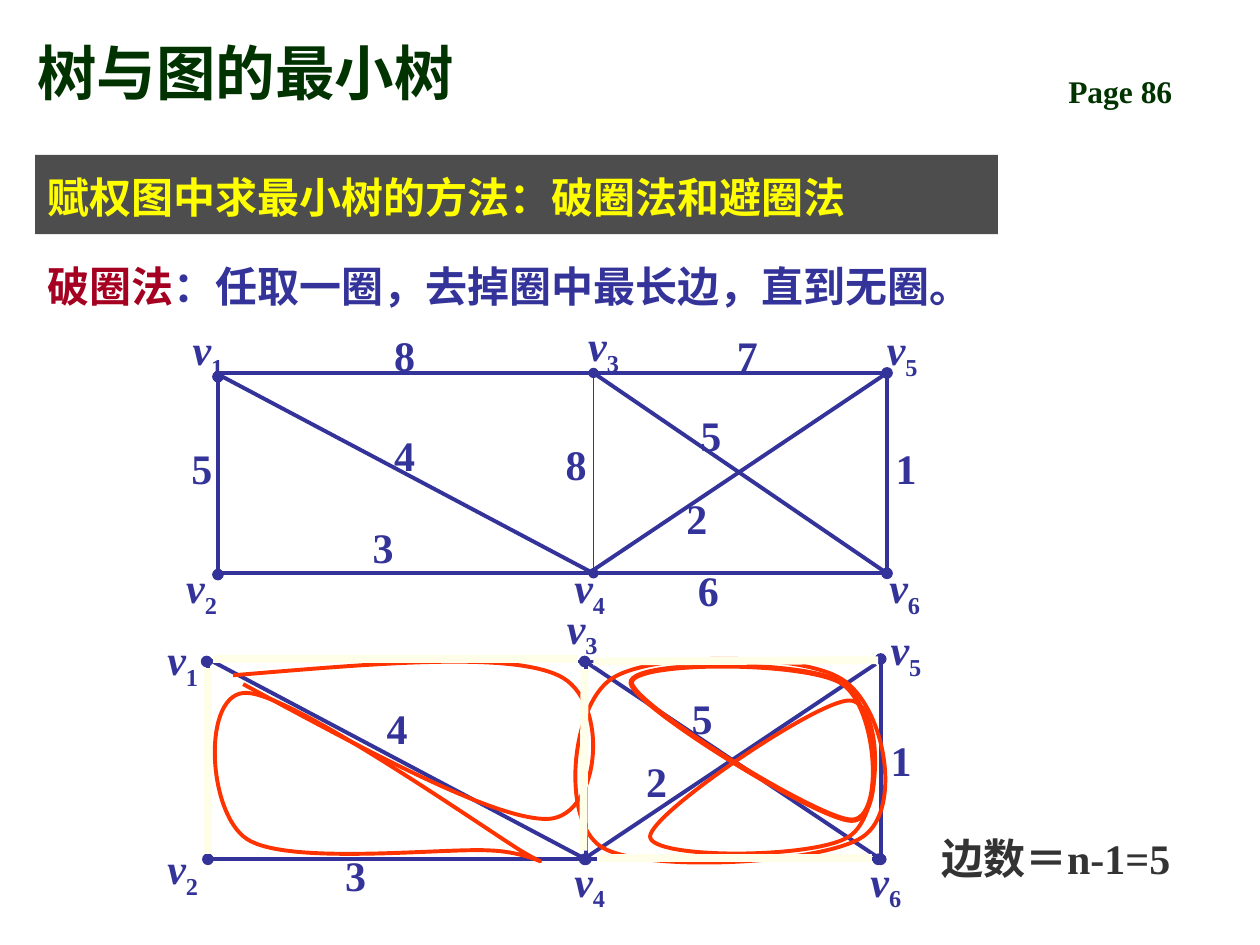
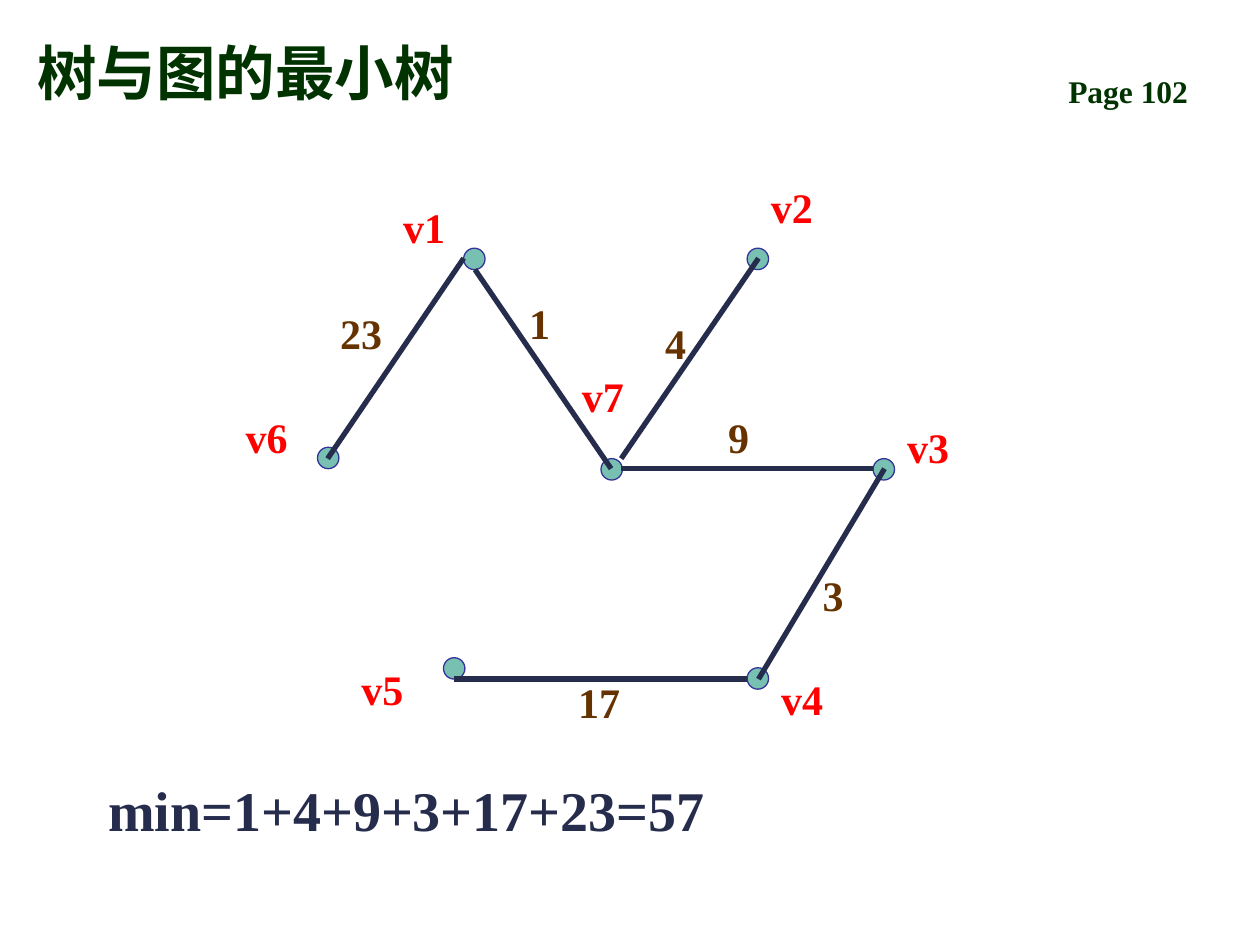
from pptx import Presentation
from pptx.dml.color import RGBColor
from pptx.enum.shapes import MSO_CONNECTOR, MSO_SHAPE
from pptx.enum.text import MSO_ANCHOR, MSO_AUTO_SIZE, PP_ALIGN
from pptx.oxml.ns import qn
from pptx.util import Inches, Pt
from lxml import etree

FONT = "Times New Roman"
GREEN, BLUE, NAVY, GREY = "003300", "333399", "262D4C", "4D4D4D"
YELLOW, CRIMSON, RED, BROWN = "FFFF00", "A50021", "FF0000", "663300"
ORANGE, CREAM, TEAL, DARK = "FF3300", "FFFFE9", "78C0B2", "333333"

TITLE = "树与图的最小树"
BAND = "赋权图中求最小树的方法：破圈法和避圈法"
RULE = [("破圈法", CRIMSON), ("：任取一圈，去掉圈中最长边，直到无圈。", BLUE)]
EDGE_COUNT = "边数＝n-1=5"
MINIMUM = "min=1+4+9+3+17+23=57"

# Edges: start, end, width; "dotted" holds the positions of edges with end dots.
FULL_GRAPH = {
    "edges": [
        ((1.73, 2.99), (1.73, 4.56), 2.25), ((1.71, 2.96), (4.71, 2.96), 2.25),
        ((1.71, 4.55), (4.79, 4.55), 2.25), ((1.71, 2.96), (4.71, 4.55), 2.25),
        ((4.71, 2.96), (4.71, 4.55), 0.75), ((4.71, 2.96), (7.04, 2.96), 2.25),
        ((7.04, 2.96), (4.7, 4.53), 2.25), ((4.71, 2.96), (7.04, 4.55), 2.25),
        ((4.71, 4.55), (7.04, 4.55), 2.25), ((7.04, 2.96), (7.04, 4.55), 2.25)],
    "dotted": {0, 4, 9},
    "labels": [
        ("v1", 1.43, 2.52), ("v2", 1.38, 4.41), ("v3", 4.57, 2.49),
        ("v4", 4.46, 4.41), ("v5", 6.94, 2.52), ("v6", 6.96, 4.41),
        ("5", 1.42, 3.46), ("8", 3.03, 2.57), ("4", 3.03, 3.36),
        ("3", 2.86, 4.09), ("7", 5.75, 2.57), ("5", 5.46, 3.2),
        ("2", 5.35, 3.86), ("6", 5.44, 4.43), ("1", 7.01, 3.46),
        ("8", 4.39, 3.43)],
}
BROKEN_GRAPH = {
    "edges": [
        ((1.65, 5.23), (1.65, 6.82), 2.25), ((1.64, 5.25), (4.64, 5.25), 2.25),
        ((1.65, 6.82), (4.65, 6.82), 2.25), ((1.65, 5.23), (4.65, 6.82), 2.25),
        ((4.65, 5.23), (4.65, 6.82), 2.25), ((4.65, 5.25), (6.99, 5.25), 2.25),
        ((6.95, 5.27), (4.66, 6.8), 2.25), ((4.66, 5.26), (6.99, 6.82), 2.25),
        ((4.64, 6.82), (6.97, 6.82), 2.25), ((6.99, 5.23), (6.99, 6.82), 2.25)],
    "dotted": {1, 2, 8, 9},
    "labels": [
        ("v1", 1.23, 4.98), ("v2", 1.23, 6.64), ("v3", 4.4, 4.73),
        ("v4", 4.46, 6.74), ("v5", 6.97, 4.9), ("v6", 6.81, 6.74),
        ("4", 2.97, 5.53), ("3", 2.64, 6.69), ("5", 5.39, 5.45),
        ("2", 5.03, 5.95), ("1", 6.97, 5.78)],
}

# Each step: loops (closed, width, Bezier points), then the edges wiped out.
BREAKING_STEPS = [
    ([(False, 2.25, [(1.85, 5.36), (2.93, 5.27), (4.02, 5.17), (4.43, 5.36),
                     (4.85, 5.55), (4.77, 6.48), (4.35, 6.5),
                     (3.93, 6.51), (2.93, 5.97), (1.93, 5.43)]),
      (True, 2.25, [(1.96, 5.5), (1.6, 5.48), (1.64, 6.45), (1.96, 6.66),
                    (2.28, 6.87), (3.52, 6.73), (3.88, 6.75),
                    (4.24, 6.76), (4.45, 6.94), (4.13, 6.75),
                    (3.81, 6.55), (2.32, 5.51), (1.96, 5.5)])],
     [((1.65, 5.3), (1.65, 6.78))]),
    ([(True, 2.25, [(4.85, 5.39), (5.17, 5.17), (6.35, 5.18), (6.68, 5.39),
                    (7.02, 5.6), (7.17, 6.42), (6.85, 6.64),
                    (6.53, 6.86), (5.09, 6.93), (4.77, 6.72),
                    (4.45, 6.51), (4.53, 5.61), (4.85, 5.39)])],
     [((4.64, 5.31), (4.63, 6.75)), ((1.69, 5.23), (4.59, 5.23))]),
    ([(True, 3, [(5.01, 5.42), (5, 5.24), (6.39, 5.24), (6.68, 5.42),
                 (6.97, 5.6), (7.03, 6.51), (6.76, 6.51),
                 (6.5, 6.51), (5.03, 5.6), (5.01, 5.42)])],
     [((4.71, 5.25), (6.97, 5.24))]),
    ([(True, 2.25, [(6.74, 5.56), (6.48, 5.56), (5.16, 6.46), (5.16, 6.64),
                    (5.16, 6.82), (6.46, 6.82), (6.74, 6.64),
                    (7.02, 6.46), (7.01, 5.56), (6.74, 5.56)])],
     [((4.74, 6.81), (6.92, 6.81))]),
]

DOT = 0.17
TREE_DOTS = [(4.77, 3.64), (5.93, 5.3), (3.52, 5.22), (5.93, 1.97),
             (6.93, 3.64), (2.52, 3.55), (3.68, 1.97)]
TREE_EDGES = [((3.68, 2.05), (2.6, 3.64)), ((3.77, 2.14), (4.85, 3.72)),
              ((6.02, 2.05), (4.93, 3.64)), ((4.93, 3.72), (6.93, 3.72)),
              ((3.6, 5.39), (5.93, 5.39)), ((7.02, 3.72), (6.02, 5.39))]
TREE_LABELS = {
    RED: [("v1", 3.1, 1.55), ("v7", 4.52, 2.89), ("v4", 6.1, 5.3),
          ("v3", 7.1, 3.3), ("v2", 6.02, 1.39), ("v5", 2.77, 5.22),
          ("v6", 1.85, 3.22)],
    BROWN: [("9", 5.68, 3.22), ("3", 6.43, 4.47), ("17", 4.49, 5.32),
            ("4", 5.18, 2.47), ("1", 4.1, 2.31), ("23", 2.6, 2.39)],
}


def rgb(color):
    return RGBColor.from_string(color)


def add_run(p, text, color, size=24, subscript=False, **style):
    r = p.add_run()
    r.text = text
    r.font.color.rgb = rgb(color)
    for name, value in {"name": FONT, "size": Pt(size), "bold": True, **style}.items():
        setattr(r.font, name, value)
    if subscript:
        r.font.italic = False
        r._r.get_or_add_rPr().set("baseline", "-25000")


def add_text(s, box, runs, size=24, wrap=True, fill=None, grow=True,
             anchor=MSO_ANCHOR.TOP, **paragraph):
    """Write one paragraph of (text, colour) runs, on a filled band if asked."""
    box = [Inches(v) for v in box]
    if fill:
        sp = s.shapes.add_shape(MSO_SHAPE.RECTANGLE, *box)
        sp.shadow.inherit = False
        sp.fill.solid()
        sp.fill.fore_color.rgb = rgb(fill)
        sp.line.fill.background()
    else:
        sp = s.shapes.add_textbox(*box)
    tf = sp.text_frame
    tf.word_wrap, tf.vertical_anchor = wrap, anchor
    tf.auto_size = MSO_AUTO_SIZE.SHAPE_TO_FIT_TEXT if grow else MSO_AUTO_SIZE.NONE
    p = tf.paragraphs[0]
    for name, value in {"alignment": PP_ALIGN.LEFT, **paragraph}.items():
        setattr(p, name, value)
    for text, color in runs:
        add_run(p, text, color, size)
    return p


def add_line(s, start, end, color, width, dotted=False):
    points = [Inches(v) for v in (*start, *end)]
    line = s.shapes.add_connector(MSO_CONNECTOR.STRAIGHT, *points)
    line.line.color.rgb = rgb(color)
    line.line.width = Pt(width)
    if dotted:
        ln = line.line._get_or_add_ln()
        for tag in ("a:headEnd", "a:tailEnd"):
            etree.SubElement(ln, qn(tag), type="oval")
    etree.SubElement(line._element.spPr, qn("a:effectLst"))


def bend_segments(sp):
    """Turn each three straight segments into one cubic Bezier curve."""
    segments = list(sp._element.iter(qn("a:lnTo")))
    for i in range(0, len(segments), 3):
        curve = etree.Element(qn("a:cubicBezTo"))
        segments[i].addprevious(curve)
        for segment in segments[i:i + 3]:
            curve.append(segment[0])
            segment.getparent().remove(segment)


def add_loop(s, closed, width, points):
    start, *rest = [tuple(Inches(v) for v in point) for point in points]
    builder = s.shapes.build_freeform(*start)
    builder.add_line_segments(rest, close=closed)
    sp = builder.convert_to_shape()
    bend_segments(sp)
    sp.shadow.inherit = False
    sp.fill.background()
    sp.line.color.rgb = rgb(ORANGE)
    sp.line.width = Pt(width)


def add_graph(s, graph):
    for i, (start, end, width) in enumerate(graph["edges"]):
        add_line(s, start, end, BLUE, width, i in graph["dotted"])
    for text, x, y in graph["labels"]:
        if text.startswith("v"):
            p = add_text(s, (x, y, 0.46, 0.5), [], wrap=False)
            add_run(p, "v", BLUE, italic=True)
            add_run(p, text[1:], BLUE, subscript=True)
        else:
            add_text(s, (x, y, 0.37, 0.5), [(text, BLUE)], wrap=False)


def add_page(prs, number):
    s = prs.slides.add_slide(prs.slide_layouts[6])
    add_text(s, (8.38, 0.52, 1.42, 0.4), [(f"Page {number}", GREEN)], size=18)
    add_text(s, (0.2, 0.12, 8.03, 0.78), [(TITLE, GREEN)], size=34, grow=False,
             anchor=MSO_ANCHOR.BOTTOM)
    return s


def build_cycle_breaking(prs):
    s = add_page(prs, 86)
    add_text(s, (0.28, 1.23, 7.64, 0.63), [(BAND, YELLOW)], fill=GREY, grow=False,
             line_spacing=1.2)
    add_text(s, (0.28, 2.02, 7.53, 0.5), RULE, wrap=False, alignment=PP_ALIGN.CENTER)
    add_graph(s, FULL_GRAPH)
    add_graph(s, BROKEN_GRAPH)
    for loops, wiped_edges in BREAKING_STEPS:
        for loop in loops:
            add_loop(s, *loop)
        for start, end in wiped_edges:
            add_line(s, start, end, CREAM, 4.5)
    add_text(s, (7.28, 6.48, 2.2, 0.58), [(EDGE_COUNT, DARK)],
             alignment=PP_ALIGN.CENTER, line_spacing=1.2)


def build_minimum_tree(prs):
    s = add_page(prs, 102)
    for x, y in TREE_DOTS:
        dot = s.shapes.add_shape(MSO_SHAPE.OVAL, *(Inches(v) for v in (x, y, DOT, DOT)))
        dot.shadow.inherit = False
        dot.fill.solid()
        dot.fill.fore_color.rgb = rgb(TEAL)
        dot.line.color.rgb = rgb(BLUE)
        dot.line.width = Pt(0.75)
    for start, end in TREE_EDGES:
        add_line(s, start, end, NAVY, 3)
    for color, labels in TREE_LABELS.items():
        for text, x, y in labels:
            add_text(s, (x, y, 0.58, 0.5), [(text, color)])
    add_text(s, (0.76, 6.11, 8.33, 0.63), [(MINIMUM, NAVY)], size=32)


def main():
    prs = Presentation()
    prs.slide_width, prs.slide_height = Inches(10), Inches(7.5)
    build_cycle_breaking(prs)
    build_minimum_tree(prs)
    prs.save("out.pptx")


if __name__ == "__main__":
    main()
